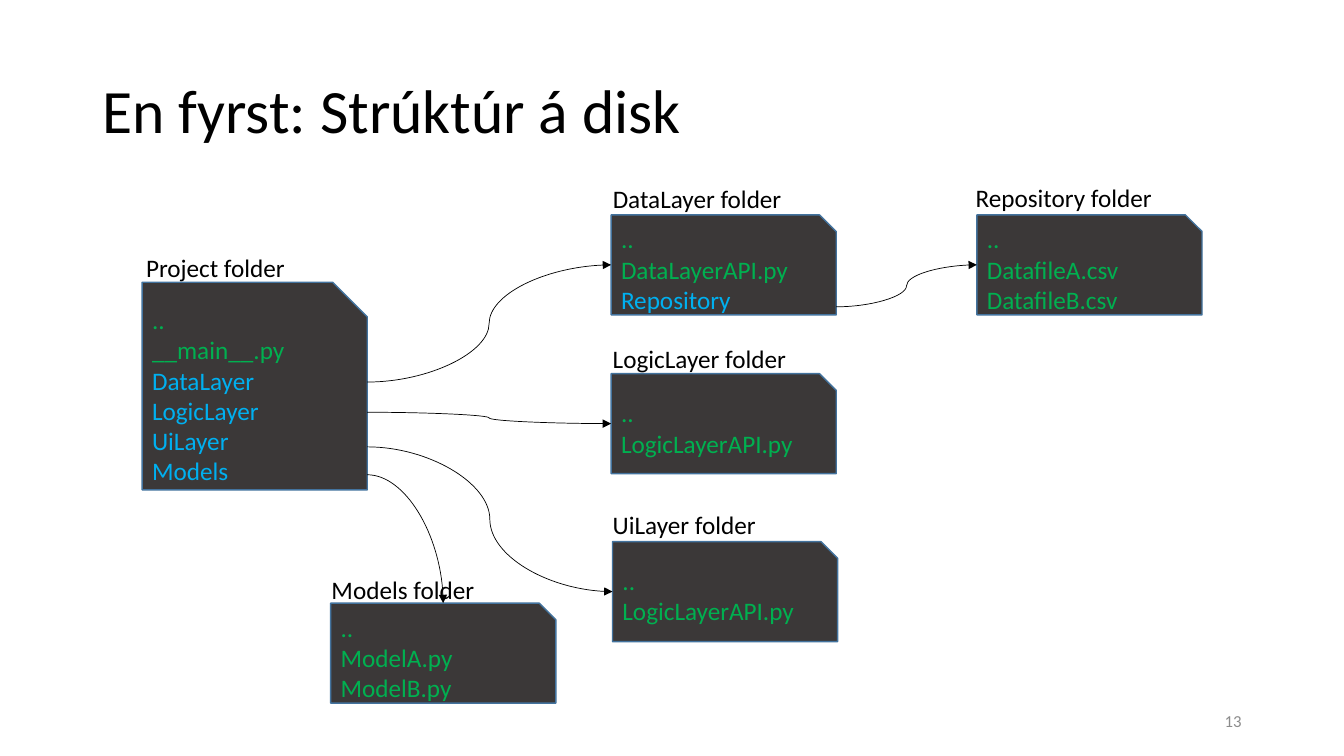
from dataclasses import dataclass

import pptx
import pptx.dml.color
import pptx.enum.shapes
import pptx.enum.text
import pptx.oxml
import pptx.oxml.ns
import pptx.util

Pt = pptx.util.Pt
ANCHOR = pptx.enum.text.MSO_ANCHOR
ALIGN = pptx.enum.text.PP_ALIGN

FONT = "Calibri"
BLACK = "000000"
GREY = "8C8C8C"
PANEL = "3B3838"
PANEL_EDGE = "43739E"
FILE_COLOR = "00B050"
FOLDER_COLOR = "00B0F0"
FOLDER_WIDTH = 160.8
FOLDER_HEIGHT = 71.4
LABEL_HEIGHT = 29


@dataclass(frozen=True)
class Folder:
    name: str
    left: float
    top: float
    label_left: float
    label_top: float
    label_width: float
    files: tuple[str, ...]
    subfolders: tuple[str, ...] = ()
    height: float = FOLDER_HEIGHT
    anchor: ANCHOR = ANCHOR.MIDDLE


@dataclass(frozen=True)
class Link:
    source: Folder
    start_y: float
    target: Folder
    enters_top: bool = False


PROJECT = Folder("Project", 101.5, 201.6, 97.2, 176.4, 114.5, ("..", "__main__.py"),
                 ("DataLayer", "LogicLayer", "UiLayer", "Models"), 148.3, ANCHOR.TOP)
DATA = Folder("DataLayer", 436.5, 153.5, 430.6, 127.4, 136.1,
              ("..", "DataLayerAPI.py"), ("Repository",))
LOGIC = Folder("LogicLayer", 436.5, 266.9, 430.6, 241.9, 139.7, ("..", "LogicLayerAPI.py"))
UI = Folder("UiLayer", 437.5, 386.9, 430.6, 360, 118.1, ("..", "LogicLayerAPI.py"))
MODELS = Folder("Models", 236.2, 430.8, 229.7, 406.8, 121.7,
                ("..", "ModelA.py", "ModelB.py"))
REPOSITORY = Folder("Repository", 697.8, 153.5, 689.8, 126.7, 141.8,
                    ("..", "DatafileA.csv", "DatafileB.csv"))

FOLDERS = (PROJECT, DATA, LOGIC, UI, MODELS, REPOSITORY)
LINKS = (
    Link(PROJECT, 272.9, DATA),
    Link(PROJECT, 294.5, LOGIC),
    Link(PROJECT, 319.2, UI),
    Link(PROJECT, 339.1, MODELS, enters_top=True),
    Link(DATA, 219.2, REPOSITORY),
)


def color(value: str) -> pptx.dml.color.RGBColor:
    return pptx.dml.color.RGBColor.from_string(value)


def add_span(para, text: str, size: float, fill: str) -> None:
    span = para.add_run()
    span.text = text
    span.font.name = FONT
    span.font.size = Pt(size)
    span.font.color.rgb = color(fill)


def add_text(page, text: str, left: float, top: float, width: float, height: float,
             size: float, fill: str = BLACK, wrap: bool = True,
             anchor: ANCHOR = ANCHOR.MIDDLE, align: ALIGN = ALIGN.LEFT,
             spacing: float = 1.0) -> None:
    box = page.shapes.add_textbox(Pt(left), Pt(top), Pt(width), Pt(height))
    frame = box.text_frame
    frame.word_wrap = wrap
    frame.vertical_anchor = anchor
    if not wrap:
        frame.auto_size = pptx.enum.text.MSO_AUTO_SIZE.SHAPE_TO_FIT_TEXT
    para = frame.paragraphs[0]
    para.alignment = align
    para.line_spacing = spacing
    add_span(para, text, size, fill)


def add_folder(page, folder: Folder):
    box = page.shapes.add_shape(
        pptx.enum.shapes.MSO_SHAPE.SNIP_1_RECTANGLE,
        Pt(folder.left), Pt(folder.top), Pt(FOLDER_WIDTH), Pt(folder.height))
    box.shadow.inherit = False
    box.fill.solid()
    box.fill.fore_color.rgb = color(PANEL)
    box.line.color.rgb = color(PANEL_EDGE)
    box.line.width = Pt(1)
    frame = box.text_frame
    frame.word_wrap = True
    frame.vertical_anchor = folder.anchor
    entries = [(name, FILE_COLOR) for name in folder.files]
    entries += [(name, FOLDER_COLOR) for name in folder.subfolders]
    for index, (name, fill) in enumerate(entries):
        para = frame.add_paragraph() if index else frame.paragraphs[0]
        para.alignment = ALIGN.LEFT
        add_span(para, name, 18, fill)
    return box


def add_link(page, link: Link, target_box) -> None:
    target = link.target
    end_x, end_y = target.left, target.top + target.height / 2
    if link.enters_top:
        end_x, end_y = target.left + FOLDER_WIDTH / 2, target.top
    arrow = page.shapes.add_connector(
        pptx.enum.shapes.MSO_CONNECTOR.CURVE,
        Pt(link.source.left + FOLDER_WIDTH), Pt(link.start_y), Pt(end_x), Pt(end_y))
    arrow.line.color.rgb = color(BLACK)
    arrow.line.width = Pt(0.5)
    properties = arrow.element.spPr
    if link.enters_top:
        properties.find(pptx.oxml.ns.qn("a:prstGeom")).set("prst", "curvedConnector2")
        arrow.end_connect(target_box, 0)
    namespace = pptx.oxml.ns.nsdecls("a")
    arrow.line._get_or_add_ln().append(
        pptx.oxml.parse_xml(f'<a:tailEnd {namespace} type="triangle"/>'))
    properties.append(pptx.oxml.parse_xml(f"<a:effectLst {namespace}/>"))


def main() -> None:
    deck = pptx.Presentation()
    deck.slide_width, deck.slide_height = Pt(960), Pt(540)
    page = deck.slides.add_slide(deck.slide_layouts[6])
    add_text(page, "En fyrst: Strúktúr á disk", 66, 28.8, 828, 104.4, 44, spacing=0.9)
    add_text(page, "13", 678, 500.5, 216, 28.8, 12, GREY, align=ALIGN.RIGHT)
    boxes = {folder: add_folder(page, folder) for folder in FOLDERS}
    for link in LINKS:
        add_link(page, link, boxes[link.target])
    for folder in FOLDERS:
        add_text(page, f"{folder.name} folder", folder.label_left, folder.label_top,
                 folder.label_width, LABEL_HEIGHT, 18, wrap=False, anchor=ANCHOR.TOP)
    deck.save("out.pptx")


if __name__ == "__main__":
    main()
